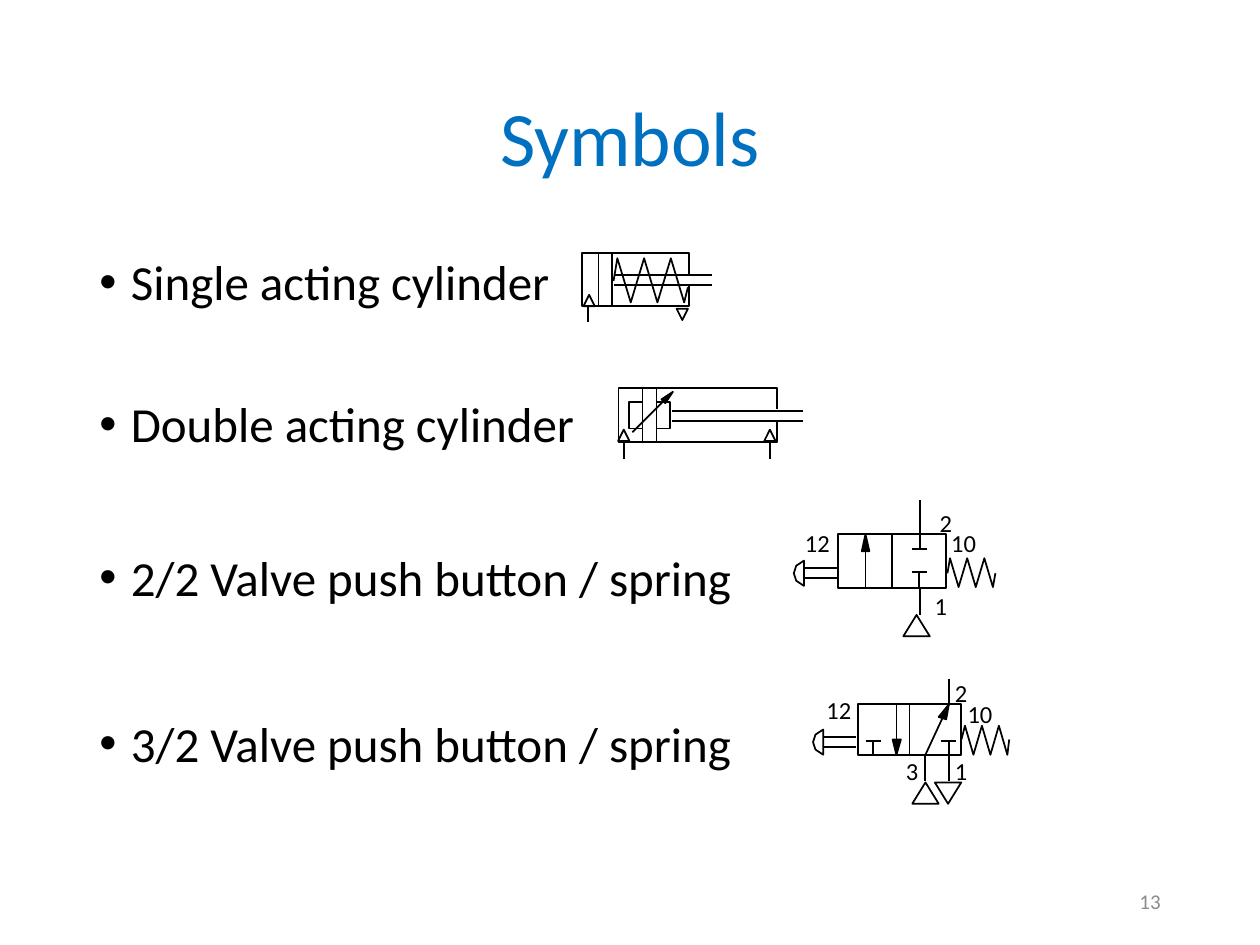
from lxml import etree
from pptx import Presentation
from pptx.dml.color import RGBColor
from pptx.enum import shapes, text
from pptx.oxml.ns import qn
from pptx.util import Pt

BLACK = "000000"
BULLETS = [
    ("Single acting cylinder", 0.9, 0),
    ("Double acting cylinder", 0.9, 50.8),
    ("2/2 Valve push button / spring", 1.1, 50.8),
    ("3/2 Valve push button / spring", 1.1, 57.6),
]
PORT, SUPPLY = (6.5, 6.5), (15.1, 12.2)

SYMBOLS = [
    {
        "lines": [(350.6, 157, 406.8, 157), (350.6, 162.7, 406.8, 162.7),
                  (349.9, 145.4, 349.9, 175), (342, 145.4, 342, 175),
                  (336.2, 174.2, 336.2, 184.3)],
        "paths": [[(393.8, 157), (393.8, 144.7), (332.6, 144.7),
                   (332.6, 175), (393.8, 175), (393.8, 163.4)]],
        "triangles": [(333.4, 168.5, PORT, 0), (386.6, 176.4, PORT, 180)],
        "springs": [((350.6, 160.6), 352.8, 7.64, 147.6, 172.8, (393.1, 164.2))],
    },
    {
        "lines": [(383.8, 234.7, 458.6, 234.7), (383.8, 240.5, 458.6, 240.5),
                  (367.2, 222.5, 367.2, 252.7), (375.1, 222.5, 375.1, 252.7),
                  (356.4, 252.7, 356.4, 262.1), (439.9, 252.7, 439.9, 262.1),
                  (361.4, 247, 382.3, 226.1)],
        "paths": [[(444.2, 234), (444.2, 221.8), (353.5, 221.8),
                   (353.5, 252.7), (444.2, 252.7), (444.2, 240.5)],
                  [(375.1, 229.7), (383, 229.7), (383, 244.8), (375.1, 244.8)],
                  [(367.2, 229.7), (359.3, 229.7), (359.3, 244.8), (367.2, 244.8)]],
        "triangles": [(353.2, 245.5, PORT, 0), (436.7, 245.5, PORT, 0)],
        "heads": [[(378, 228.2), (380.2, 230.4), (384.5, 223.9)]],
    },
    {
        "boxes": [(478.8, 305.3, 61.6, 30.9)],
        "lines": [(525.6, 336.2, 525.6, 351.4), (525.6, 285.8, 525.6, 305.3),
                  (509.8, 305.3, 509.8, 336.2), (494.6, 305.3, 494.6, 336.2)],
        "stops": [(525.6, 313.9, 305.3), (525.3, 326.9, 336.2)],
        "triangles": [(516.2, 351.4, SUPPLY, 0)],
        "heads": [[(494.6, 305.3), (492.5, 315), (496.8, 315)]],
        "springs": [((541.4, 327.6), 542.9, 4.9, 319, 335.5, (568.8, 327.6))],
        "buttons": [(459.4, 320.4)],
        "labels": [("2", 529.9, 286.6), ("10", 536.4, 298.1),
                   ("12", 452.9, 298.1), ("1", 527, 334.1)],
    },
    {
        "boxes": [(490.3, 402.5, 59, 28.8)],
        "lines": [(542.2, 431.3, 542.2, 446.4), (528.5, 431.3, 528.5, 446.4),
                  (519.8, 401.8, 519.8, 432), (542.2, 402.5, 528.5, 432),
                  (542.2, 388.1, 542.2, 402.5), (512.3, 402.5, 512.3, 432)],
        "stops": [(542.2, 423.4, 432), (499, 423.4, 432)],
        "triangles": [(521.3, 447.1, SUPPLY, 0), (534.2, 447.1, SUPPLY, 180)],
        "heads": [[(512.3, 431.3), (510.1, 422.6), (514.8, 422.6)],
                  [(542.2, 402.5), (540.7, 411.1), (536.4, 409.7)]],
        "springs": [((549.4, 422.6), 551.4, 4.85, 414.7, 431.3, (576.7, 422.6))],
        "buttons": [(470.4, 416.9)],
        "labels": [("2", 538.6, 383.8), ("1", 538.6, 428.4), ("3", 510.5, 428.4),
                   ("12", 465.1, 393.8), ("10", 545.8, 396)],
    },
]


def colour(value):
    return RGBColor.from_string(value)


def apply(target, **values):
    for name, value in values.items():
        setattr(target, name, value)


def write(para, words, size, shade=BLACK):
    span = para.add_run()
    span.text = words
    apply(span.font, name="Calibri", size=Pt(size))
    span.font.color.rgb = colour(shade)


def text_box(parent, left, top, width, height, **frame_values):
    box = parent.add_textbox(Pt(left), Pt(top), Pt(width), Pt(height))
    apply(box.text_frame, **{"word_wrap": True, **frame_values})
    return box.text_frame


def outline(shape, filled=False):
    shape.shadow.inherit = False
    if filled:
        shape.fill.solid()
        shape.fill.fore_color.rgb = colour(BLACK)
    else:
        shape.fill.background()
    shape.line.color.rgb = colour(BLACK)
    shape.line.width = Pt(1)


def add_line(group, x1, y1, x2, y2):
    line = group.add_connector(shapes.MSO_CONNECTOR.STRAIGHT, Pt(x1), Pt(y1), Pt(x2), Pt(y2))
    line.line.color.rgb = colour(BLACK)
    line.line.width = Pt(1)
    etree.SubElement(line._element.spPr, qn("a:effectLst"))


def add_path(group, points, close=False, filled=False):
    (x, y), *rest = [(Pt(x), Pt(y)) for x, y in points]
    builder = group.build_freeform(x, y)
    builder.add_line_segments(rest, close=close)
    outline(builder.convert_to_shape(), filled)


def add_head(group, *points):
    add_path(group, points, close=True, filled=True)


def add_box(group, left, top, width, height):
    outline(group.add_shape(shapes.MSO_SHAPE.RECTANGLE, Pt(left), Pt(top), Pt(width), Pt(height)))


def add_triangle(group, left, top, size, turn):
    shape = group.add_shape(shapes.MSO_SHAPE.ISOSCELES_TRIANGLE, Pt(left), Pt(top), *map(Pt, size))
    shape.rotation = turn
    outline(shape)


def add_spring(group, start, first, step, top, bottom, end):
    turns = [(first + i * step, bottom if i % 2 else top) for i in range(6)]
    add_path(group, [start, *turns, end])


def add_stop(group, x, bar, end):
    add_line(group, x, bar, x, end)
    add_line(group, x - 4.3, bar, x + 4.3, bar)


def add_button(group, x, y):
    curve = [(0, 0), (-4.4, 2.9), (-5.8, 7.2), (-4.4, 11.5), (0, 14.4)]
    add_path(group, [(x + dx, y + dy) for dx, dy in curve], close=True)
    for rod in (4.3, 10.1):
        add_line(group, x, y + rod, x + 19, y + rod)


def add_label(group, words, left, top):
    frame = text_box(group, left, top, 14.4 + 7.9 * len(words), 24, word_wrap=False)
    write(frame.paragraphs[0], words, 14)


DRAW = {"boxes": add_box, "lines": add_line, "stops": add_stop,
        "triangles": add_triangle, "heads": add_head, "springs": add_spring,
        "buttons": add_button, "labels": add_label}

deck = Presentation()
apply(deck, slide_width=Pt(720), slide_height=Pt(540))
page = deck.slides.add_slide(deck.slide_layouts[6])

title = text_box(page.shapes, 49.7, 28.8, 620.6, 104.4, vertical_anchor=text.MSO_ANCHOR.MIDDLE)
apply(title.paragraphs[0], alignment=text.PP_ALIGN.CENTER, line_spacing=0.9)
write(title.paragraphs[0], "Symbols", 44, "0070C0")

body = text_box(page.shapes, 49.7, 144, 620.6, 342.7)
for index, (words, spacing, gap) in enumerate(BULLETS):
    para = body.add_paragraph() if index else body.paragraphs[0]
    apply(para, line_spacing=spacing, space_before=Pt(gap))
    props = para._p.get_or_add_pPr()
    props.set("marL", str(Pt(18)))
    props.set("indent", str(-Pt(18)))
    etree.SubElement(props, qn("a:buFont"), typeface="Arial")
    etree.SubElement(props, qn("a:buChar"), char="•")
    write(para, words, 28)

for symbol in SYMBOLS:
    group = page.shapes.add_group_shape().shapes
    for points in symbol.get("paths", []):
        add_path(group, points)
    for kind, draw in DRAW.items():
        for values in symbol.get(kind, []):
            draw(group, *values)

number = text_box(page.shapes, 508.3, 500.4, 162, 28.8, vertical_anchor=text.MSO_ANCHOR.MIDDLE)
number.paragraphs[0].alignment = text.PP_ALIGN.RIGHT
write(number.paragraphs[0], "13", 12, "8C8C8C")

deck.save("out.pptx")
